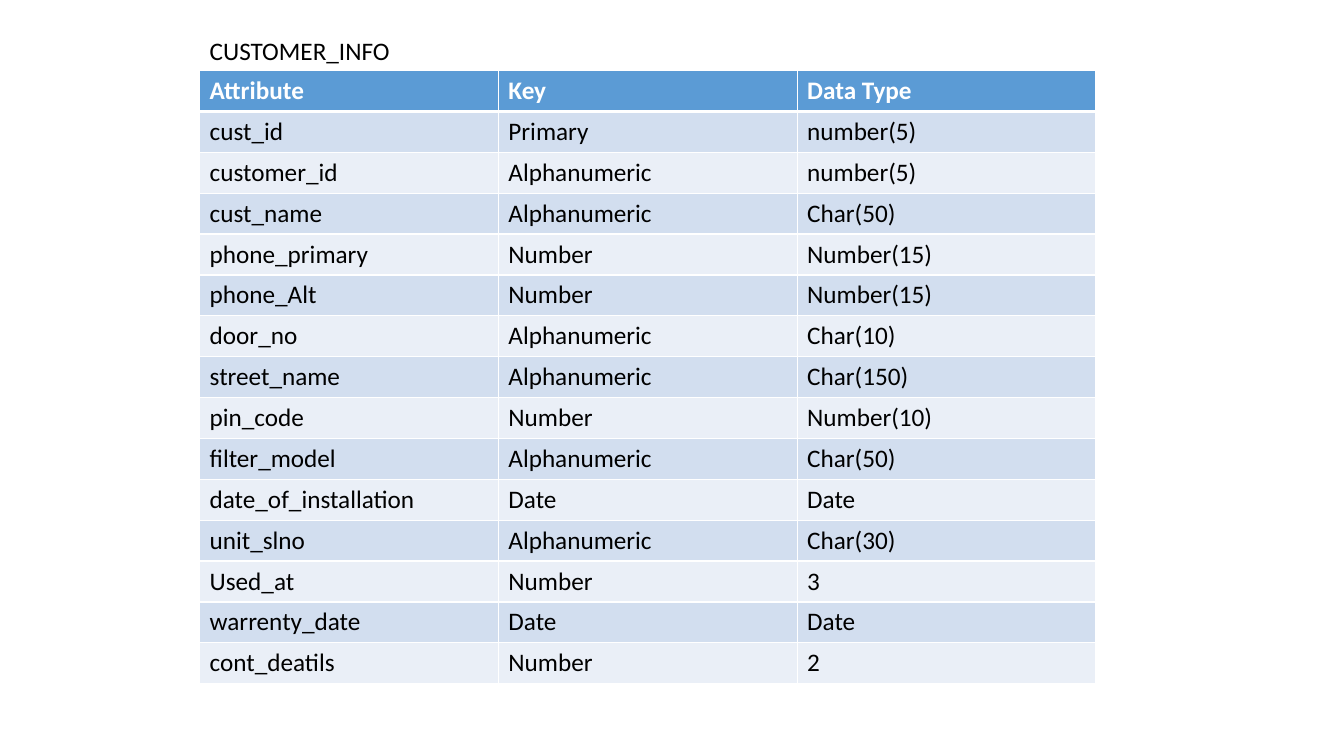
"""Build a slide that lists the attributes of the CUSTOMER_INFO table."""
from lxml.etree import SubElement
from pptx import Presentation
from pptx.dml.color import RGBColor
from pptx.enum.text import MSO_ANCHOR as Anchor, MSO_AUTO_SIZE as AutoSize, PP_ALIGN as Align
from pptx.oxml.ns import qn
from pptx.util import Inches, Pt

HEADING = "CUSTOMER_INFO"
HEADER = ("Attribute", "Key", "Data Type")
ATTRIBUTES = [
    ("cust_id", "Primary", "number(5)"),
    ("customer_id", "Alphanumeric", "number(5)"),
    ("cust_name", "Alphanumeric", "Char(50)"),
    ("phone_primary", "Number", "Number(15)"),
    ("phone_Alt", "Number", "Number(15)"),
    ("door_no", "Alphanumeric", "Char(10)"),
    ("street_name", "Alphanumeric", "Char(150)"),
    ("pin_code", "Number", "Number(10)"),
    ("filter_model", "Alphanumeric", "Char(50)"),
    ("date_of_installation", "Date", "Date"),
    ("unit_slno", "Alphanumeric", "Char(30)"),
    ("Used_at", "Number", "3"),
    ("warrenty_date", "Date", "Date"),
    ("cont_deatils", "Number", "2"),
]
COLORS = {"header": "5B9BD5", "odd": "D2DEEF", "even": "EAEFF7",
          "rule": "FFFFFF", "light": "FFFFFF", "dark": "000000"}
LEFT, TOP, WIDTH, HEIGHT = Inches(1.98), Inches(0.7), Inches(8.89), Inches(6.08)
HEADING_TOP = Inches(0.3)


def write(frame, text, color="dark", bold=False, anchor=Anchor.TOP):
    """Fill a text frame with one left-aligned line."""
    frame.vertical_anchor = anchor
    line = frame.paragraphs[0]
    line.alignment = Align.LEFT
    run = line.add_run()
    run.text = text
    run.font.name, run.font.size, run.font.bold = "Calibri", Pt(18), bold
    run.font.color.rgb = RGBColor.from_string(COLORS[color])


def rule(cell, **widths):
    """Draw cell borders, given as side=points in the order L, R, T, B."""
    for side, points in widths.items():
        border = SubElement(cell._tc.get_or_add_tcPr(), qn(f"a:ln{side}"), w=str(Pt(points)))
        SubElement(SubElement(border, qn("a:solidFill")), qn("a:srgbClr"), val=COLORS["rule"])


deck = Presentation()
deck.slide_width, deck.slide_height = Inches(13.33), Inches(7.5)
slide = deck.slides.add_slide(deck.slide_layouts[5])

heading = slide.shapes.title
heading.left, heading.top, heading.width, heading.height = LEFT, HEADING_TOP, Inches(2), TOP - HEADING_TOP
heading.text_frame.auto_size = AutoSize.NONE
heading.text_frame.word_wrap = False
write(heading.text_frame, HEADING, anchor=Anchor.MIDDLE)

rows = [HEADER, *ATTRIBUTES]
schema = slide.shapes.add_table(len(rows), len(HEADER), LEFT, TOP, WIDTH, HEIGHT).table
for r, entries in enumerate(rows):
    is_header = r == 0
    band = "header" if is_header else "odd" if r % 2 else "even"
    for c, entry in enumerate(entries):
        cell = schema.cell(r, c)
        rule(cell, L=1, R=1, T=3 if r == 1 else 1, B=3 if is_header else 1)
        cell.fill.solid()
        cell.fill.fore_color.rgb = RGBColor.from_string(COLORS[band])
        write(cell.text_frame, entry, color="light" if is_header else "dark", bold=is_header)

deck.save("out.pptx")
